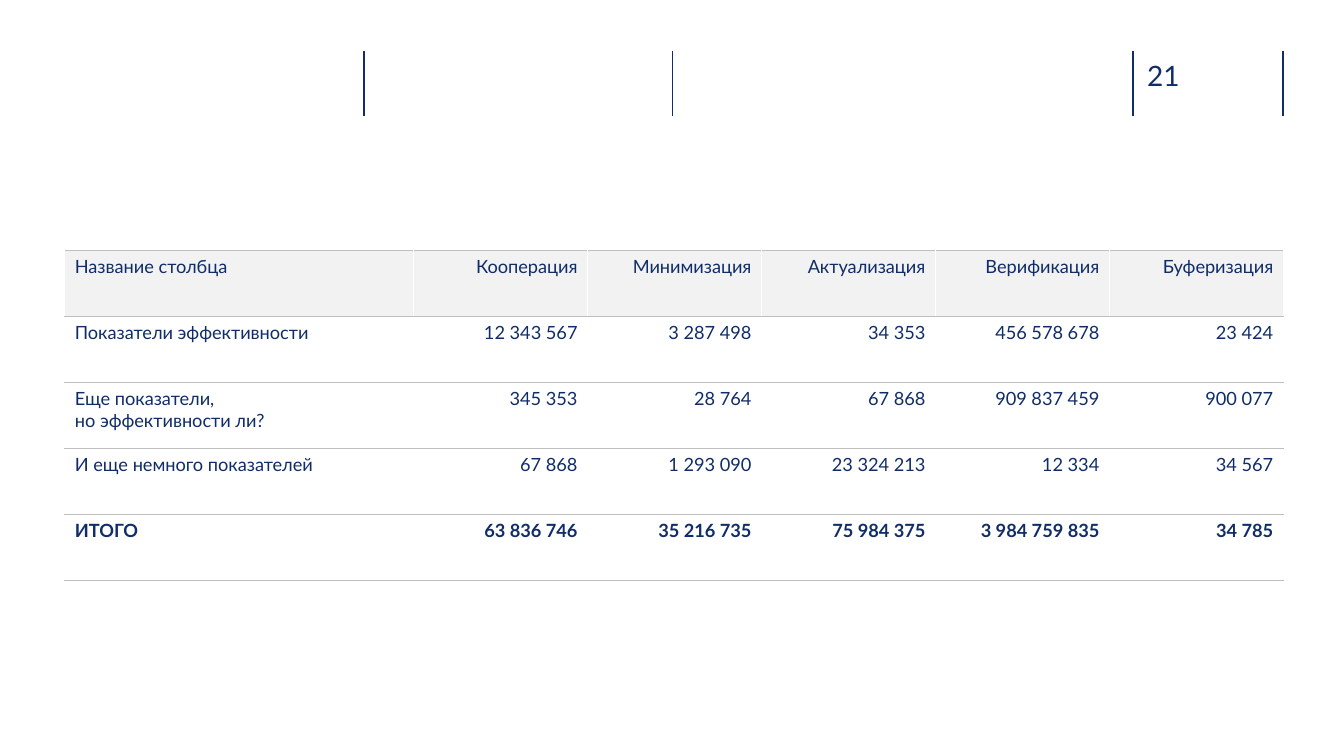
from dataclasses import dataclass

from lxml import etree
from pptx import Presentation
from pptx.dml import color as c
from pptx.enum import shapes, text
from pptx.oxml import ns
from pptx.util import Pt


@dataclass(frozen=True)
class Theme:
    font: str = "Lato"
    ink: str = "102D69"
    rule: str = "BFBFBF"
    gap: str = "FFFFFF"
    header: str = "F2F2F2"
    number_size: float = 20
    table_size: float = 13


@dataclass(frozen=True)
class Separator:
    x: float
    top: float = 36.72
    bottom: float = 82.8


@dataclass(frozen=True)
class Row:
    label: str
    values: tuple[str, ...]
    header: bool = False
    bold: bool = False


T = Theme()
SEPARATORS = [Separator(x) for x in (259.92, 480.24, 809.28, 916.56)]
ROWS = [
    Row("Название столбца",
        ("Кооперация", "Минимизация", "Актуализация", "Верификация", "Буферизация"),
        header=True),
    Row("Показатели эффективности",
        ("12 343 567", "3 287 498", "34 353", "456 578 678", "23 424")),
    Row("Еще показатели, \vно эффективности ли?",
        ("345 353", "28 764", "67 868", "909 837 459", "900 077")),
    Row("И еще немного показателей",
        ("67 868", "1 293 090", "23 324 213", "12 334", "34 567")),
    Row("ИТОГО",
        ("63 836 746", "35 216 735", "75 984 375", "3 984 759 835", "34 785"),
        bold=True),
]
LABEL_WIDTH, VALUE_WIDTH, ROW_HEIGHT = 249.12, 124.27, 47.14


def style(p, size: float, bold: bool = False) -> None:
    p.font.name = T.font
    p.font.size = Pt(size)
    p.font.bold = bold
    p.font.color.rgb = c.RGBColor.from_string(T.ink)


def add_separator(s, sep: Separator) -> None:
    ln = s.shapes.add_connector(shapes.MSO_CONNECTOR.STRAIGHT, Pt(sep.x),
                                Pt(sep.top), Pt(sep.x), Pt(sep.bottom))
    ln.line.color.rgb = c.RGBColor.from_string(T.ink)
    ln.line.width = Pt(1)
    etree.SubElement(ln._element.spPr, ns.qn("a:effectLst"))


def add_border(cell, side: str, color: str, width: float) -> None:
    tc_pr = cell._tc.get_or_add_tcPr()
    ln = etree.SubElement(tc_pr, ns.qn(f"a:ln{side}"), w=str(Pt(width)))
    fill = etree.SubElement(ln, ns.qn("a:solidFill"))
    etree.SubElement(fill, ns.qn("a:srgbClr"), val=color)


def fill_row(cells, row: Row) -> None:
    last = len(row.values)
    for i, (cell, words) in enumerate(zip(cells, (row.label, *row.values))):
        p = cell.text_frame.paragraphs[0]
        p.text = words
        p.alignment = text.PP_ALIGN.RIGHT if i else text.PP_ALIGN.LEFT
        style(p, T.table_size, row.bold)
        # Borders precede the fill in the cell properties
        if i > 0:
            add_border(cell, "L", T.gap, 0.25)
        if i < last:
            add_border(cell, "R", T.gap, 0.25)
        for side in "TB":
            add_border(cell, side, T.rule, 0.75)
        if row.header:
            cell.fill.solid()
            cell.fill.fore_color.rgb = c.RGBColor.from_string(T.header)
        else:
            cell.fill.background()


def add_indicators(s) -> None:
    count = len(ROWS[0].values)
    table = s.shapes.add_table(len(ROWS), count + 1, Pt(46.3), Pt(179),
                               Pt(LABEL_WIDTH + count * VALUE_WIDTH),
                               Pt(len(ROWS) * ROW_HEIGHT)).table
    table.first_row = table.horz_banding = False
    for i, column in enumerate(table.columns):
        column.width = Pt(VALUE_WIDTH if i else LABEL_WIDTH)
    for table_row, row in zip(table.rows, ROWS):
        table_row.height = Pt(ROW_HEIGHT)
        fill_row(table_row.cells, row)


def add_page_number(s, number: str) -> None:
    tf = s.shapes.add_textbox(Pt(819.36), Pt(41.76), Pt(52.56), Pt(24.48)).text_frame
    tf.margin_left = tf.margin_top = tf.margin_right = tf.margin_bottom = 0
    tf.word_wrap = True
    tf.auto_size = text.MSO_AUTO_SIZE.SHAPE_TO_FIT_TEXT
    p = tf.paragraphs[0]
    p.text = number
    style(p, T.number_size)


def main() -> None:
    prs = Presentation()
    prs.slide_width, prs.slide_height = Pt(960), Pt(540)
    s = prs.slides.add_slide(prs.slide_layouts[6])
    # Page header
    for sep in SEPARATORS:
        add_separator(s, sep)
    add_page_number(s, "21")
    # Table of indicators
    add_indicators(s)
    prs.save("out.pptx")


if __name__ == "__main__":
    main()
